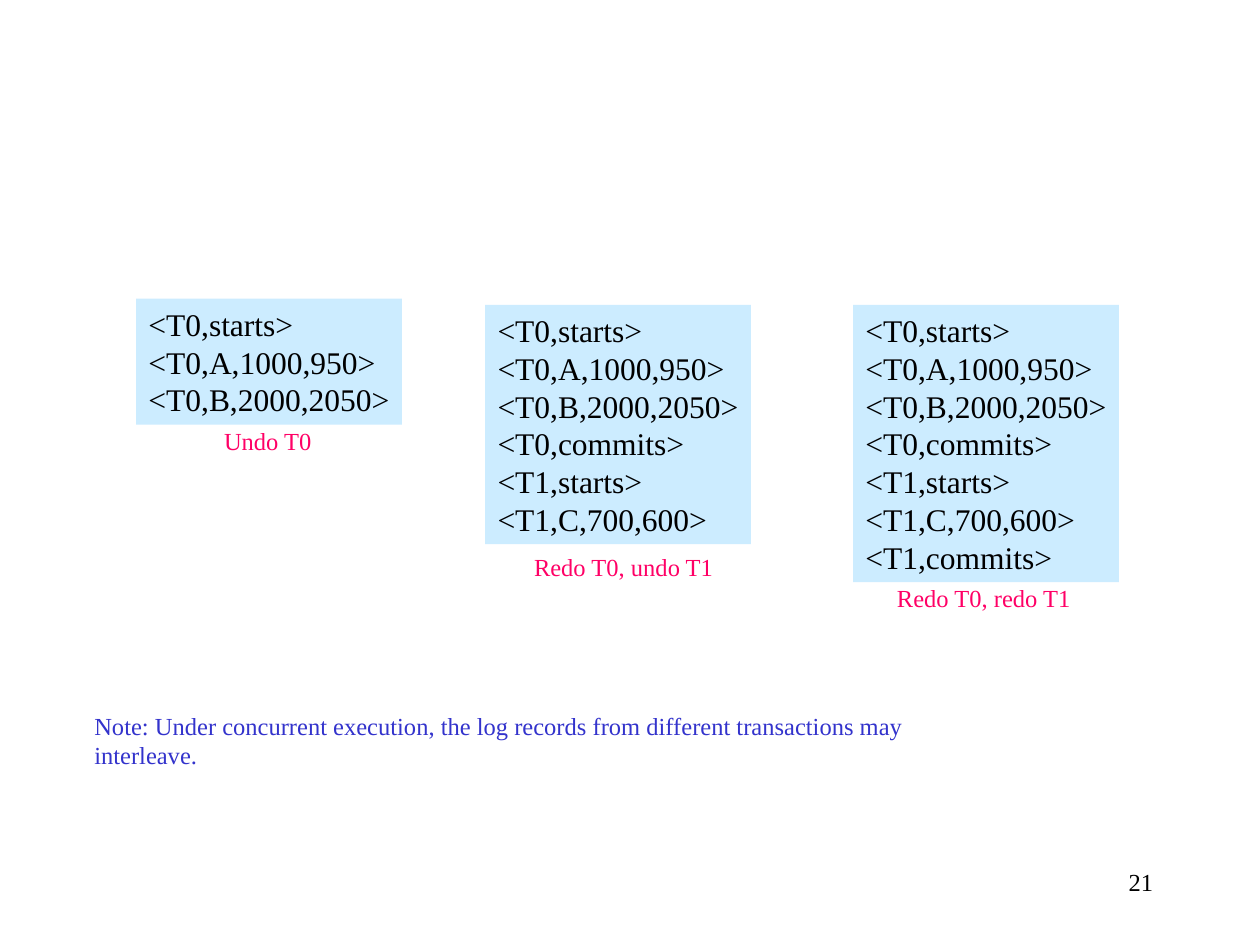
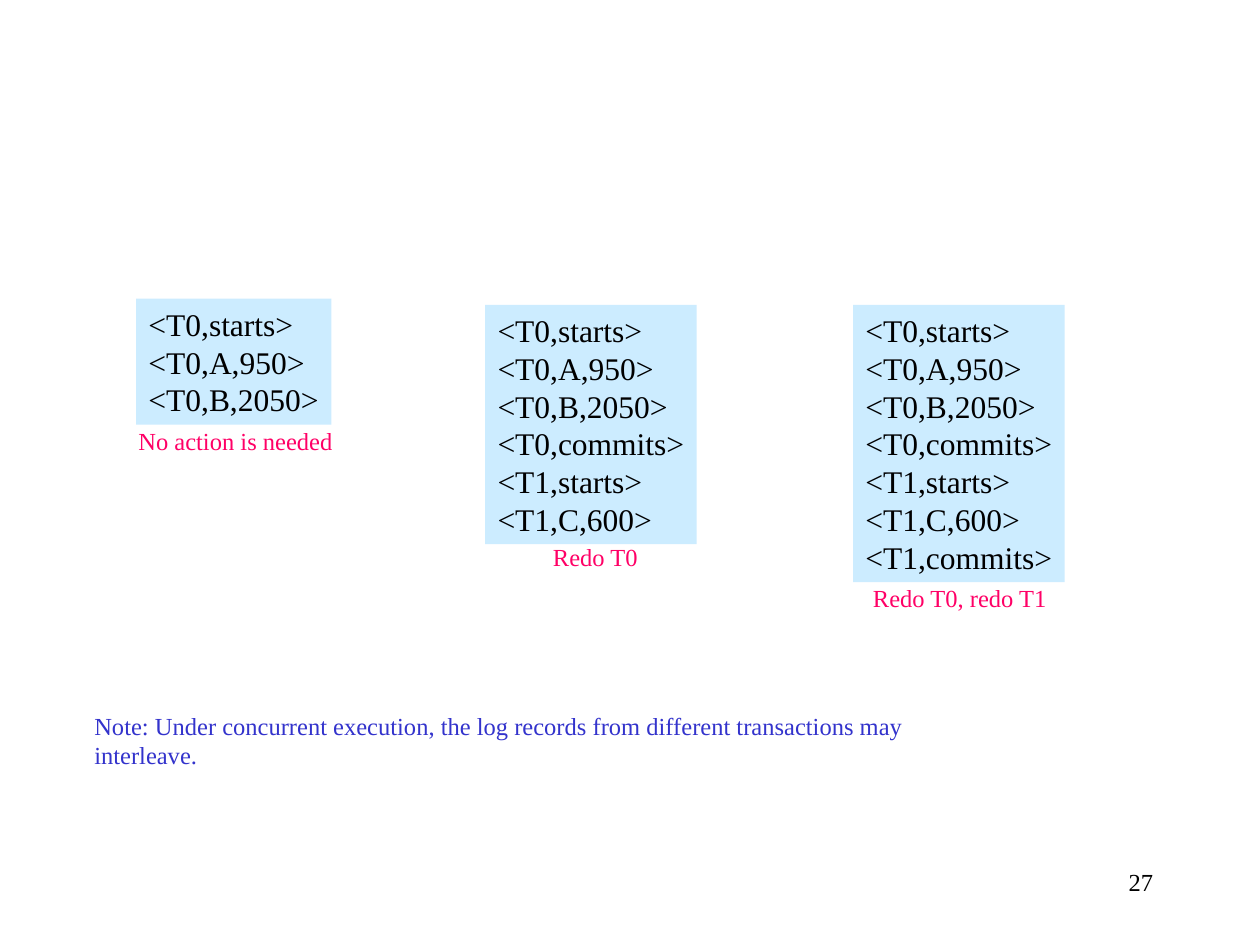
"""Build two slides comparing log states and the recovery action each one calls for."""
from dataclasses import dataclass

from pptx import Presentation
from pptx.dml.color import RGBColor
from pptx.enum.shapes import MSO_SHAPE
from pptx.enum.text import MSO_ANCHOR, PP_ALIGN
from pptx.shapes.autoshape import Shape
from pptx.slide import Slide
from pptx.util import Emu, Pt

RECTANGLE = MSO_SHAPE.RECTANGLE
TOP = MSO_ANCHOR.TOP
LEFT, RIGHT = PP_ALIGN.LEFT, PP_ALIGN.RIGHT

EMU_PER_PX = 9144
BLANK_LAYOUT = 6
FONT = "Times New Roman"
BLACK, LOG_BLUE, ACTION_PINK, NOTE_BLUE = "000000", "CCECFF", "FF0066", "3333CC"
LOG_SIZE, SMALL_SIZE = 18, 14
LOG_LINE, LOG_PADDING, ACTION_HEIGHT = 30, 10, 33
PAGE_MARGIN, NOTE_MARGIN = 10, 40
LOG_CORNERS = ((108, 237), (385, 242), (677, 242))
NOTE = (
    "Note: Under concurrent execution, the log records from "
    "different transactions may interleave."
)


@dataclass(frozen=True)
class Box:
    left: int
    top: int
    width: int
    height: int


@dataclass(frozen=True)
class Stage:
    record_count: int
    log_width: int
    action: str
    action_left: int
    action_top: int
    action_width: int


@dataclass(frozen=True)
class Scenario:
    page: str
    records: tuple[str, ...]
    stages: tuple[Stage, ...]


NOTE_BOX = Box(65, 559, 748, 57)
PAGE_BOX = Box(717, 683, 208, 50)

SCENARIOS = (
    Scenario(
        "21",
        ("<T0,starts>", "<T0,A,1000,950>", "<T0,B,2000,2050>", "<T0,commits>",
         "<T1,starts>", "<T1,C,700,600>", "<T1,commits>"),
        (
            Stage(3, 211, "Undo T0", 168, 333, 90),
            Stage(6, 211, "Redo T0, undo T1", 414, 433, 163),
            Stage(7, 211, "Redo T0, redo T1", 702, 458, 158),
        ),
    ),
    Scenario(
        "27",
        ("<T0,starts>", "<T0,A,950>", "<T0,B,2050>", "<T0,commits>",
         "<T1,starts>", "<T1,C,600>", "<T1,commits>"),
        (
            Stage(3, 155, "No action is needed", 100, 333, 174),
            Stage(6, 168, "Redo T0", 429, 425, 88),
            Stage(7, 168, "Redo T0, redo T1", 683, 458, 158),
        ),
    ),
)


def px(length: int) -> Emu:
    """Turn px into EMU."""
    return Emu(length * EMU_PER_PX)


def color(value: str) -> RGBColor:
    """Turn a hex string into a colour."""
    return RGBColor.from_string(value)


def place(box: Box) -> tuple[Emu, Emu, Emu, Emu]:
    """Give the box in EMU."""
    return px(box.left), px(box.top), px(box.width), px(box.height)


def write(shape: Shape, lines: tuple[str, ...], size: int, ink: str,
          align: PP_ALIGN = LEFT, margin_right: int = 0) -> None:
    """Fill a shape with one paragraph per line."""
    frame = shape.text_frame
    frame.text = "\n".join(lines)
    frame.word_wrap = True
    frame.vertical_anchor = TOP
    frame.margin_right = px(margin_right)
    for paragraph in frame.paragraphs:
        paragraph.alignment = align
        paragraph.font.name = FONT
        paragraph.font.size = Pt(size)
        paragraph.font.color.rgb = color(ink)


def add_log(slide: Slide, box: Box, records: tuple[str, ...]) -> None:
    """Draw one log panel."""
    log = slide.shapes.add_shape(RECTANGLE, *place(box))
    log.shadow.inherit = False
    log.fill.solid()
    log.fill.fore_color.rgb = color(LOG_BLUE)
    log.line.fill.background()
    write(log, records, LOG_SIZE, BLACK)


def add_text(slide: Slide, box: Box, text: str, ink: str,
             align: PP_ALIGN = LEFT, margin_right: int = 0) -> None:
    """Draw one paragraph of small text."""
    label = slide.shapes.add_textbox(*place(box))
    write(label, (text,), SMALL_SIZE, ink, align, margin_right)


def add_scenario(slide: Slide, scenario: Scenario) -> None:
    """Draw the logs, their actions, the note and the page number."""
    add_text(slide, PAGE_BOX, scenario.page, BLACK, RIGHT, PAGE_MARGIN)
    for (left, top), stage in zip(LOG_CORNERS, scenario.stages):
        height = LOG_PADDING + LOG_LINE * stage.record_count
        add_log(slide, Box(left, top, stage.log_width, height),
                scenario.records[:stage.record_count])
    for stage in scenario.stages:
        add_text(slide, Box(stage.action_left, stage.action_top,
                            stage.action_width, ACTION_HEIGHT),
                 stage.action, ACTION_PINK)
    add_text(slide, NOTE_BOX, NOTE, NOTE_BLUE, margin_right=NOTE_MARGIN)


def main() -> None:
    """Build and save the presentation."""
    deck = Presentation()
    deck.slide_width, deck.slide_height = px(1000), px(750)
    for scenario in SCENARIOS:
        slide = deck.slides.add_slide(deck.slide_layouts[BLANK_LAYOUT])
        add_scenario(slide, scenario)
    deck.save("out.pptx")


if __name__ == "__main__":
    main()
